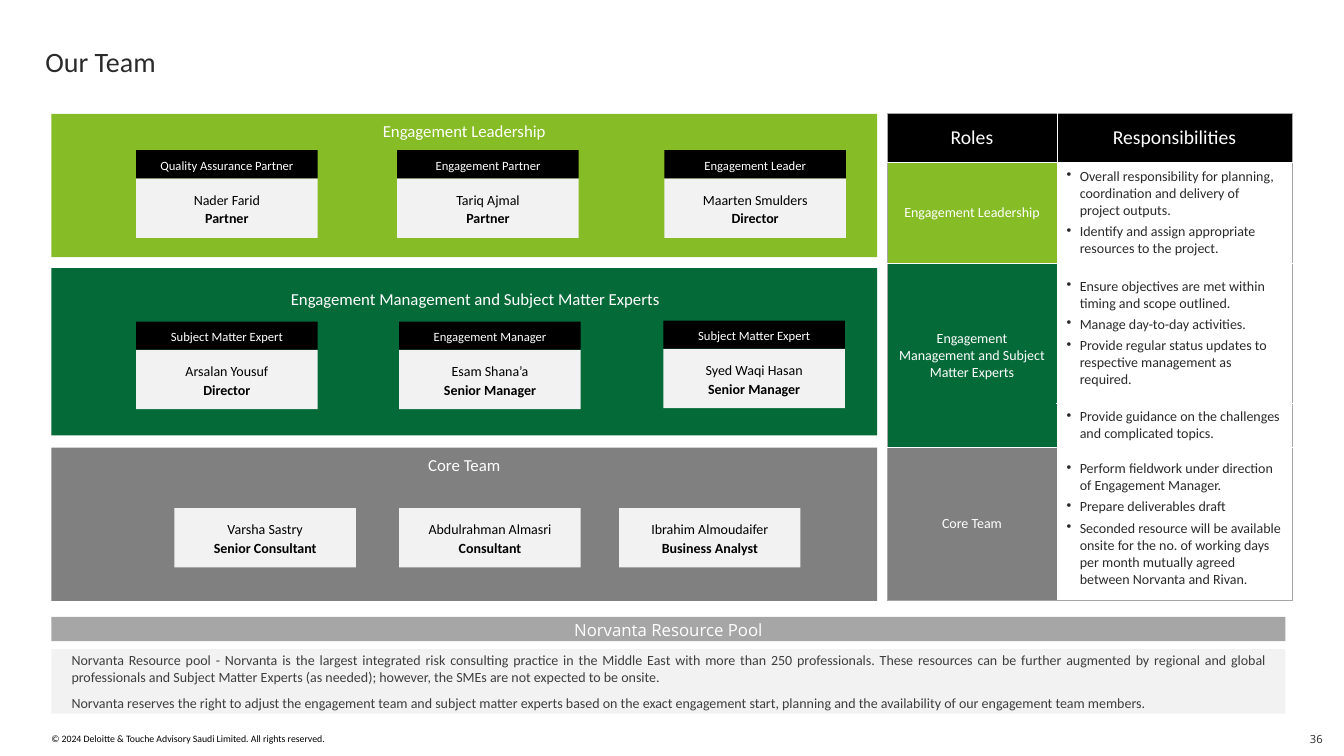
from lxml import etree
from pptx import Presentation
from pptx import util as u
from pptx.dml.color import RGBColor
from pptx.enum import shapes, text
from pptx.oxml.ns import qn

COLORS = {
    "white": "FFFFFF", "black": "000000", "ink": "2A2A2A", "body": "3E3E3E",
    "lime": "86BC25", "forest": "046A38", "gray": "808080",
    "band": "A6A6A6", "pale": "F2F2F2", "edge": "A7A7A7",
}
LEADERSHIP = "Engagement Leadership"
EXPERTS = "Engagement Management and Subject Matter Experts"
CORE = "Core Team"

TEAMS = [
    {"name": LEADERSHIP, "color": "lime", "top": 1.13, "height": 1.42, "members": [
        (1.35, 1.49, "Quality Assurance Partner", "Nader Farid", "Partner"),
        (3.94, 1.49, "Engagement Partner", "Tariq Ajmal", "Partner"),
        (6.59, 1.49, "Engagement Leader", "Maarten Smulders", "Director")]},
    {"name": EXPERTS, "color": "forest", "top": 2.66, "height": 1.66, "members": [
        (1.35, 3.19, "Subject Matter Expert", "Arsalan Yousuf", "Director"),
        (3.96, 3.19, "Engagement Manager", "Esam Shana’a", "Senior Manager"),
        (6.58, 3.18, "Subject Matter Expert", "Syed Waqi Hasan", "Senior Manager")]},
    {"name": CORE, "color": "gray", "top": 4.44, "height": 1.52, "members": [
        (1.73, 4.76, None, "Varsha Sastry", "Senior Consultant"),
        (3.96, 4.76, None, "Abdulrahman Almasri", "Consultant"),
        (6.14, 4.76, None, "Ibrahim Almoudaifer", "Business Analyst")]},
]
HEADERS = ["Roles", "Responsibilities"]
DUTIES = [
    (LEADERSHIP, "lime", 1.0, [
        "Overall responsibility for planning, coordination and delivery of project outputs.",
        "Identify and assign appropriate resources to the project."]),
    (EXPERTS, "forest", 1.39, [
        "Ensure objectives are met within timing and scope outlined.",
        "Manage day-to-day activities.",
        "Provide regular status updates to respective management as required."]),
    (None, "forest", 0.44, [
        "Provide guidance on the challenges and complicated topics."]),
    (CORE, "gray", 1.52, [
        "Perform fieldwork under direction of Engagement Manager.",
        "Prepare deliverables draft",
        "Seconded resource will be available onsite for the no. of working days per month "
        "mutually agreed between Norvanta and Rivan."]),
]
POOL = [
    "Norvanta Resource pool - Norvanta is the largest integrated risk consulting practice in the "
    "Middle East with more than 250 professionals. These resources can be further augmented by "
    "regional and global professionals and Subject Matter Experts (as needed); however, the SMEs "
    "are not expected to be onsite.",
    "Norvanta reserves the right to adjust the engagement team and subject matter experts based on "
    "the exact engagement start, planning and the availability of our engagement team members.",
]
COPYRIGHT = "© 2024 Deloitte & Touche Advisory Saudi Limited. All rights reserved."

LEFT, PANEL_WIDTH, POOL_WIDTH = 0.51, 8.19, 12.24
CARD_WIDTH, ROLE_HEIGHT, NAME_HEIGHT = 1.8, 0.28, 0.59
COLUMNS, HEADER_HEIGHT = [1.68, 2.34], 0.48
MIDDLE, TOP = text.MSO_ANCHOR.MIDDLE, text.MSO_ANCHOR.TOP
CENTER, ALIGN_LEFT = text.PP_ALIGN.CENTER, text.PP_ALIGN.LEFT


def color(name):
    return RGBColor.from_string(COLORS[name])


def write(frame, lines, size, ink, align=CENTER, font="Calibri", spacing=None,
          after=None, before=None, bullet=False, bold_from=9):
    for i, line in enumerate(lines):
        para = frame.paragraphs[0] if i == 0 else frame.add_paragraph()
        para.alignment = align
        if spacing:
            para.line_spacing = spacing
        if after is not None:
            para.space_after = u.Pt(after)
        if before is not None and i:
            para.space_before = u.Pt(before)
        if bullet:
            props = para._p.get_or_add_pPr()
            props.set("marL", str(u.Inches(0.13)))
            props.set("indent", str(-u.Inches(0.13)))
            etree.SubElement(props, qn("a:buChar")).set("char", "•")
        run = para.add_run()
        run.text = line
        run.font.size = u.Pt(size)
        run.font.name = font
        run.font.bold = i >= bold_from
        run.font.color.rgb = color(ink)


def set_frame(frame, anchor, inset_x, inset_y):
    frame.word_wrap = True
    frame.auto_size = text.MSO_AUTO_SIZE.NONE
    frame.vertical_anchor = anchor
    frame.margin_left = frame.margin_right = u.Inches(inset_x)
    frame.margin_top = frame.margin_bottom = u.Inches(inset_y)
    return frame


def block(holder, box, fill, anchor=MIDDLE, inset_x=0.04, inset_y=0.04):
    rect = holder.add_shape(shapes.MSO_SHAPE.RECTANGLE, *map(u.Inches, box))
    rect.shadow.inherit = False
    rect.fill.solid()
    rect.fill.fore_color.rgb = color(fill)
    rect.line.fill.background()
    return set_frame(rect.text_frame, anchor, inset_x, inset_y)


def label(holder, box):
    return set_frame(holder.add_textbox(*map(u.Inches, box)).text_frame, TOP, 0, 0)


def style_cell(cell, fill, outer):
    props = cell._tc.get_or_add_tcPr()
    for i, side in enumerate("LRTB"):
        edge, width = ("edge", 1) if side in outer else ("white", 0.25)
        line = etree.Element(qn(f"a:ln{side}"), w=str(u.Pt(width)))
        solid = etree.SubElement(line, qn("a:solidFill"))
        etree.SubElement(solid, qn("a:srgbClr")).set("val", COLORS[edge])
        props.insert(i, line)
    cell.fill.solid()
    cell.fill.fore_color.rgb = color(fill)
    cell.vertical_anchor = MIDDLE


def add_team(slide, team):
    frame = block(slide.shapes, (LEFT, team["top"], PANEL_WIDTH, team["height"]),
                  team["color"], TOP, 0.1, 0.05)
    if team["name"] == EXPERTS:
        frame = label(slide.shapes, (2.59, 2.84, 4.25, 0.21))
    write(frame, [team["name"]], 12, "white", spacing=1.1)
    for x, y, role, person, grade in team["members"]:
        holder = slide.shapes.add_group_shape().shapes if role else slide.shapes
        card = block(holder, (x, y + ROLE_HEIGHT, CARD_WIDTH, NAME_HEIGHT), "pale")
        write(card, [person, grade], 10, "black", spacing=1.1, bold_from=1)
        if role:
            banner = block(holder, (x, y, CARD_WIDTH, ROLE_HEIGHT), "black")
            write(banner, [role], 9, "white", spacing=1.1)


def add_duties(slide):
    heights = [HEADER_HEIGHT] + [duty[2] for duty in DUTIES]
    box = (8.8, 1.13, sum(COLUMNS), sum(heights))
    grid = slide.shapes.add_table(len(heights), 2, *map(u.Inches, box)).table
    grid.first_row = grid.horz_banding = False
    for column, width in zip(grid.columns, COLUMNS):
        column.width = u.Inches(width)
    for row, height in zip(grid.rows, heights):
        row.height = u.Inches(height)
    for c, header in enumerate(HEADERS):
        style_cell(grid.cell(0, c), "black", "T" + "LR"[c])
        write(grid.cell(0, c).text_frame, [header], 14, "white")
    for r, (role, fill, _, tasks) in enumerate(DUTIES, 1):
        bottom = "B" if r == len(DUTIES) else ""
        role_cell, task_cell = grid.cell(r, 0), grid.cell(r, 1)
        style_cell(role_cell, fill, "L" + bottom)
        style_cell(task_cell, "white", "R" + bottom)
        if role:
            write(role_cell.text_frame, [role], 10, "white")
        else:
            grid.cell(r - 1, 0).merge(role_cell)
        write(task_cell.text_frame, tasks, 10, "ink", ALIGN_LEFT, before=3, bullet=True)


def main():
    deck = Presentation()
    deck.slide_width, deck.slide_height = u.Inches(13.33), u.Inches(7.5)
    slide = deck.slides.add_slide(deck.slide_layouts[5])

    title = slide.shapes.title
    title.left, title.top, title.width, title.height = map(u.Inches, (0.45, 0.44, 12.31, 0.37))
    write(set_frame(title.text_frame, TOP, 0, 0), ["Our Team"], 20, "ink", ALIGN_LEFT)

    add_duties(slide)
    for team in TEAMS:
        add_team(slide, team)

    pool_title = block(slide.shapes, (LEFT, 6.12, POOL_WIDTH, 0.24), "band")
    write(pool_title, ["Norvanta Resource Pool"], 12, "white", font="Open Sans", spacing=1.1)
    pool = block(slide.shapes, (LEFT, 6.44, POOL_WIDTH, 0.64), "pale", MIDDLE, 0.2, 0.2)
    write(pool, POOL, 10, "body", text.PP_ALIGN.JUSTIFY, after=6)

    write(label(slide.shapes, (LEFT, 7.27, 3.8, 0.12)), [COPYRIGHT], 7, "black", ALIGN_LEFT)
    write(label(slide.shapes, (12.78, 7.27, 0.34, 0.13)), ["36"], 8, "ink",
          text.PP_ALIGN.RIGHT, "Open Sans")
    deck.save("out.pptx")


if __name__ == "__main__":
    main()
